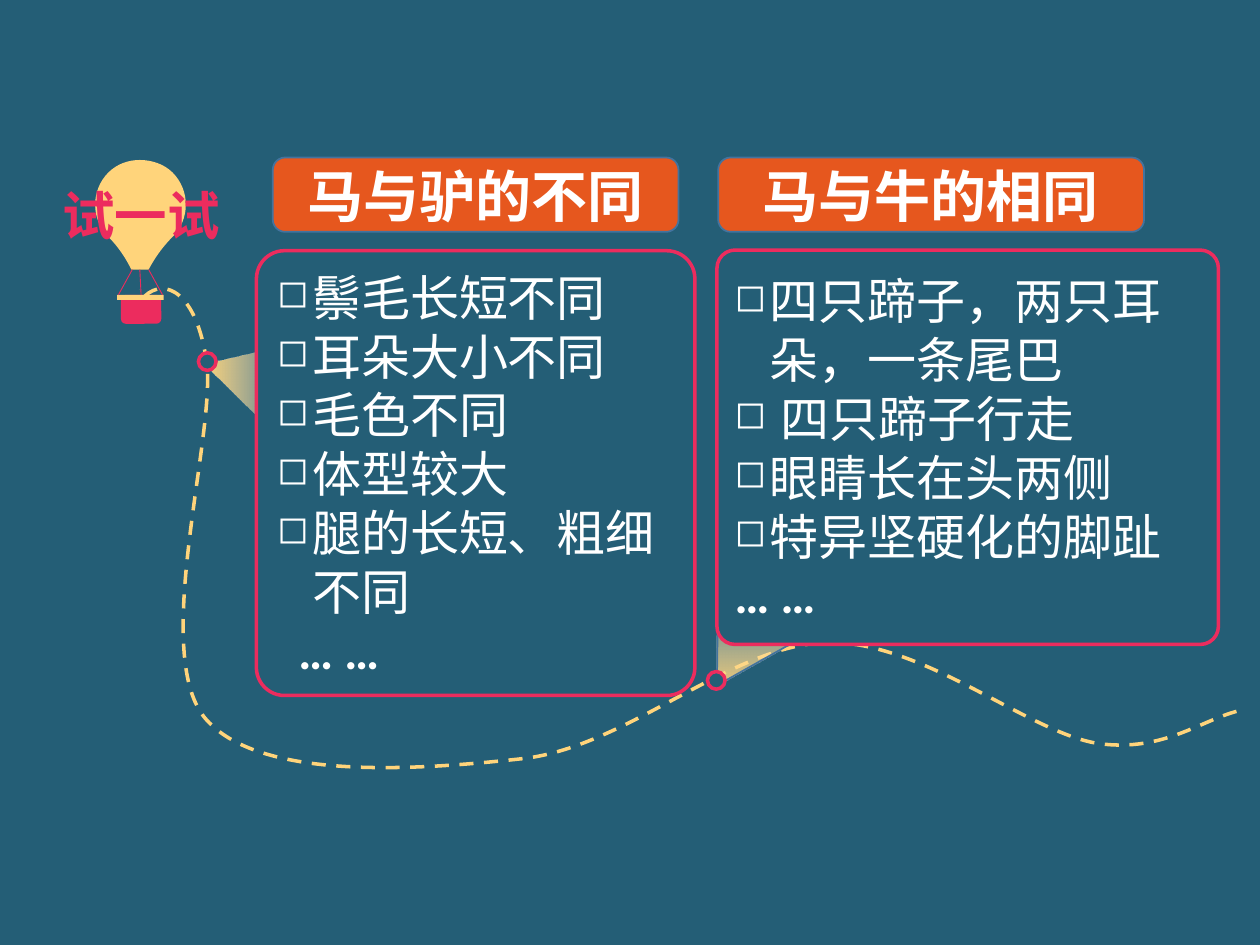
from dataclasses import dataclass

from lxml.etree import SubElement
from pptx import Presentation
from pptx.dml.color import RGBColor
from pptx.enum.dml import MSO_LINE
from pptx.enum.shapes import MSO_CONNECTOR, MSO_SHAPE
from pptx.enum.text import MSO_ANCHOR, MSO_AUTO_SIZE, PP_ALIGN
from pptx.oxml.ns import qn
from pptx.util import Inches, Pt

# The page is a grid of 100 columns by 75 rows
COLUMNS, ROWS = 100, 75
CELL = Inches(0.1)
TEAL, YELLOW, PINK = "245E76", "FFD47B", "EC2C5E"
ORANGE, BLUE, WHITE = "E6571E", "43739E", "FFFFFF"
CREAM = "FFEECD"
CJK_FONT = "Noto Sans CJK SC"
DOT_SIZE = 1.4
HANGING = 2.8
BULLET_PERCENT = 78

Point = tuple[float, float]


@dataclass
class Area:
    left: float
    top: float
    width: float
    height: float


@dataclass
class Panel:
    title: str
    title_area: Area
    card: Area
    rounding: float
    items: list[str]
    dots_indent: float
    wedge: list[Point]
    fade_angle: int
    near_alpha: int
    wedge_line: str | None
    dot: Point


PANELS = [
    Panel("马与驴的不同", Area(21.65, 12.5, 32.2, 5.9), Area(20.35, 19.9, 34.8, 35.3), 0.064,
          ["鬃毛长短不同", "耳朵大小不同", "毛色不同", "体型较大", "腿的长短、粗细不同"], 1.7,
          [(20.7, 33.3), (16.2, 28.9), (24.1, 27.1)], 0, 100, None, (15.75, 28)),
    Panel("马与牛的相同", Area(57, 12.5, 33.8, 5.9), Area(56.9, 19.85, 39.8, 31.3), 0.046,
          ["四只蹄子，两只耳朵，一条尾巴", " 四只蹄子行走", "眼睛长在头两侧", "特异坚硬化的脚趾"], 0,
          [(63.3, 50.8), (56.9, 54.4), (57, 46.4)], 90, 91, BLUE, (56.15, 53.3)),
]

# Each curve is a start point followed by cubic segments
BALLOON_AREA = Area(7.5, 12.7, 7.2, 10.3)
BALLOON = [(11.1, 12.7), (12, 12.7), (13, 13), (13.7, 13.7),
           (15.1, 15.1), (15.1, 17.4), (13.7, 18.8),
           (12.6, 19.9), (11.7, 21.3), (11.1, 23),
           (10.5, 21.3), (9.7, 19.9), (8.6, 18.8),
           (7.2, 17.4), (7.2, 15.1), (8.6, 13.7),
           (9.3, 13), (10.2, 12.7), (11.1, 12.7)]
ROUTE_AREA = Area(11.5, 22.9, 87.4, 38)
ROUTE = [(11.5, 23.5), (13.1, 22), (15.6, 23.2), (16.4, 28.7),
         (17.2, 34.3), (12, 51.6), (16.2, 56.9),
         (20.4, 62.1), (33.4, 61.1), (41.6, 60.2),
         (49.9, 59.2), (58, 51.2), (65.6, 51),
         (73.2, 50.8), (81.5, 58.1), (87.1, 59),
         (92.6, 59.8), (95.7, 56.8), (98.9, 56.3)]


def color(code: str) -> RGBColor:
    return RGBColor.from_string(code)


def cells(count: float) -> int:
    return round(count * CELL)


def paint(shape, fill: str | None, line: str | None = None, width: float = 1) -> None:
    shape.shadow.inherit = False
    if fill:
        shape.fill.solid()
        shape.fill.fore_color.rgb = color(fill)
    else:
        shape.fill.background()
    if line:
        shape.line.color.rgb = color(line)
        shape.line.width = Pt(width)
    else:
        shape.line.fill.background()


def add_block(page, kind, area: Area, fill: str, line: str | None = None, width: float = 1):
    shape = page.shapes.add_shape(kind, *map(cells, (area.left, area.top, area.width, area.height)))
    paint(shape, fill, line, width)
    return shape


def add_outline(page, points: list[Point], closed: bool):
    corners = [(cells(x), cells(y)) for x, y in points]
    builder = page.shapes.build_freeform(*corners[0], scale=1.0)
    builder.add_line_segments(corners[1:], close=closed)
    return builder.convert_to_shape()


def add_curve(page, knots: list[Point], area: Area, closed: bool):
    """Turn an outline's straight segments into cubic ones that fill the area."""
    shape = add_outline(page, knots[::3], closed)
    shape.left, shape.top = cells(area.left), cells(area.top)
    shape.width, shape.height = cells(area.width), cells(area.height)
    track = next(shape._element.iter(qn("a:path")))
    track.clear()
    track.set("w", str(cells(area.width)))
    track.set("h", str(cells(area.height)))
    for index, (x, y) in enumerate(knots):
        if index % 3 == 0 and index:
            pass
        elif index == 0:
            segment = SubElement(track, qn("a:moveTo"))
        if index % 3 == 1:
            segment = SubElement(track, qn("a:cubicBezTo"))
        point = SubElement(segment, qn("a:pt"))
        point.set("x", str(cells(x - area.left)))
        point.set("y", str(cells(y - area.top)))
    if closed:
        SubElement(track, qn("a:close"))
    return shape


def add_string(page, start: Point, end: Point) -> None:
    line = page.shapes.add_connector(MSO_CONNECTOR.STRAIGHT, *map(cells, (*start, *end)))
    line.line.color.rgb = color(PINK)
    line.line.width = Pt(0.5)
    SubElement(line._element.spPr, qn("a:effectLst"))


def add_span(para, text: str, size: int, font: str, code: str, bold: bool) -> None:
    span = para.add_run()
    span.text = text
    span.font.size, span.font.name, span.font.bold = Pt(size), font, bold
    span.font.color.rgb = color(code)
    SubElement(span.font._element, qn("a:ea")).set("typeface", CJK_FONT)


def indent(para, margin: float, bullet: str | None = None) -> None:
    properties = para._p.get_or_add_pPr()
    properties.set("marL", str(cells(margin)))
    properties.set("indent", str(-cells(margin) if bullet else 0))
    if bullet:
        SubElement(properties, qn("a:buSzPct")).set("val", str(BULLET_PERCENT * 1000))
        SubElement(properties, qn("a:buChar")).set("char", bullet)


def add_wedge(page, panel: Panel) -> None:
    wedge = add_outline(page, panel.wedge, True)
    paint(wedge, YELLOW, panel.wedge_line)
    wedge.fill.gradient()
    wedge.fill.gradient_angle = panel.fade_angle
    for stop, code in zip(wedge.fill.gradient_stops, (YELLOW, CREAM)):
        stop.color.rgb = color(code)
    for node, alpha in zip(wedge._element.spPr.iter(qn("a:gs")), (panel.near_alpha, 6)):
        SubElement(node[0], qn("a:alpha")).set("val", str(alpha * 1000))


def add_panel(page, panel: Panel) -> None:
    add_wedge(page, panel)
    # Card with its checklist
    card = add_block(page, MSO_SHAPE.ROUNDED_RECTANGLE, panel.card, TEAL, PINK, 2)
    card.adjustments[0] = panel.rounding
    frame = card.text_frame
    frame.word_wrap, frame.vertical_anchor = True, MSO_ANCHOR.MIDDLE
    for number, item in enumerate([*panel.items, "… …"]):
        para = frame.add_paragraph() if number else frame.paragraphs[0]
        para.alignment = PP_ALIGN.LEFT
        last = number == len(panel.items)
        indent(para, panel.dots_indent if last else HANGING, None if last else "◻")
        add_span(para, item, 28, "Calibri", WHITE, last)
    # Stop on the route
    add_block(page, MSO_SHAPE.OVAL, Area(*panel.dot, DOT_SIZE, DOT_SIZE), TEAL, PINK, 2)
    # Heading
    heading = add_block(page, MSO_SHAPE.ROUNDED_RECTANGLE, panel.title_area, ORANGE, BLUE)
    heading.text_frame.vertical_anchor = MSO_ANCHOR.MIDDLE
    para = heading.text_frame.paragraphs[0]
    para.alignment = PP_ALIGN.CENTER
    add_span(para, panel.title, 32, CJK_FONT, WHITE, True)


def add_balloon(page) -> None:
    paint(add_curve(page, BALLOON, BALLOON_AREA, True), YELLOW)
    add_block(page, MSO_SHAPE.RECTANGLE, Area(9.9, 21.4, 2.5, 1.6), TEAL)
    add_block(page, MSO_SHAPE.ROUNDED_RECTANGLE, Area(9.6, 23.4, 3.2, 2.3), PINK)
    add_block(page, MSO_SHAPE.RECTANGLE, Area(9.3, 23.4, 3.7, 0.4), YELLOW)
    for top, bottom in ((10.5, 9.4), (11.8, 12.9), (11.1, 11.2)):
        add_string(page, (top, 21.4), (bottom, 23.4))


def add_label(page) -> None:
    box = page.shapes.add_textbox(*map(cells, (3.9, 14, 14.6, 6.1)))
    box.text_frame.word_wrap = False
    box.text_frame.auto_size = MSO_AUTO_SIZE.SHAPE_TO_FIT_TEXT
    para = box.text_frame.paragraphs[0]
    para.alignment = PP_ALIGN.CENTER
    add_span(para, "试一试", 30, CJK_FONT, PINK, True)


def build() -> None:
    deck = Presentation()
    deck.slide_width, deck.slide_height = cells(COLUMNS), cells(ROWS)
    page = deck.slides.add_slide(deck.slide_layouts[6])
    page.background.fill.solid()
    page.background.fill.fore_color.rgb = color(TEAL)
    add_balloon(page)
    route = add_curve(page, ROUTE, ROUTE_AREA, False)
    paint(route, None, YELLOW, 2)
    route.line.dash_style = MSO_LINE.DASH
    for panel in PANELS:
        add_panel(page, panel)
    add_label(page)
    deck.save("out.pptx")


build()
